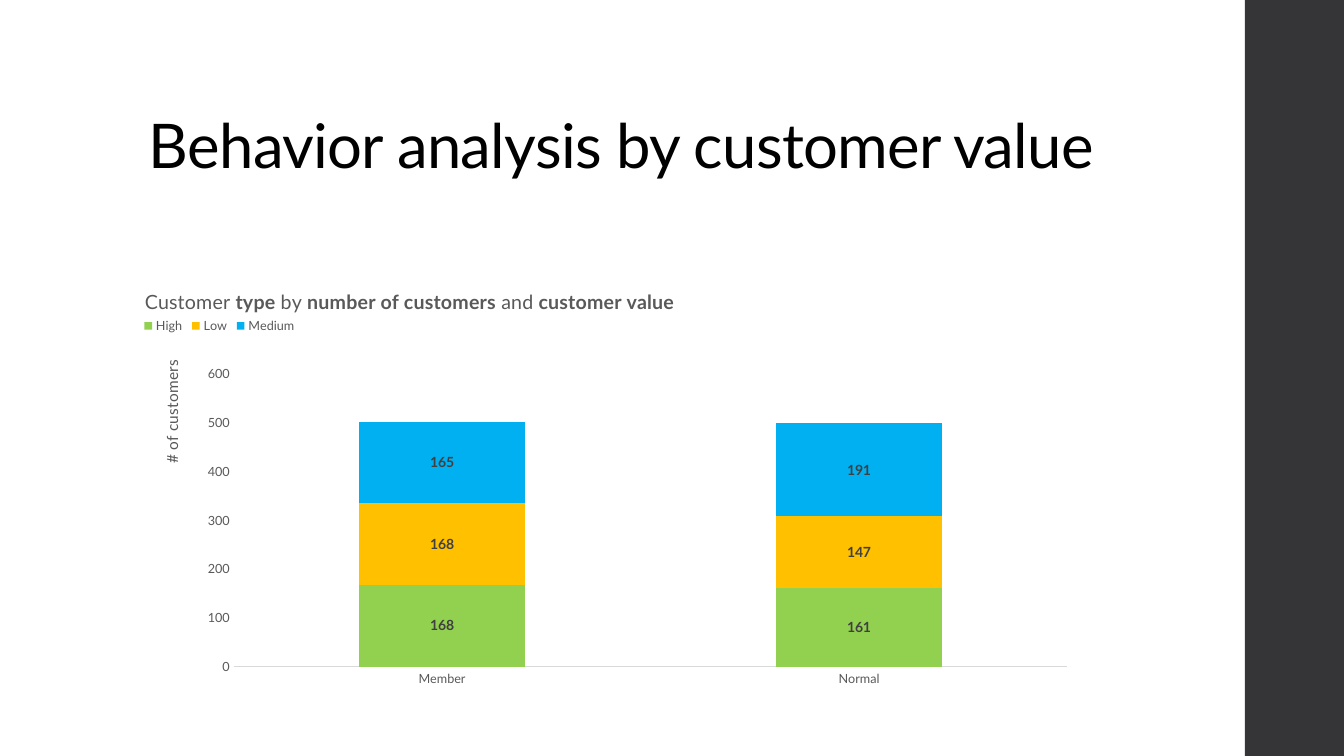
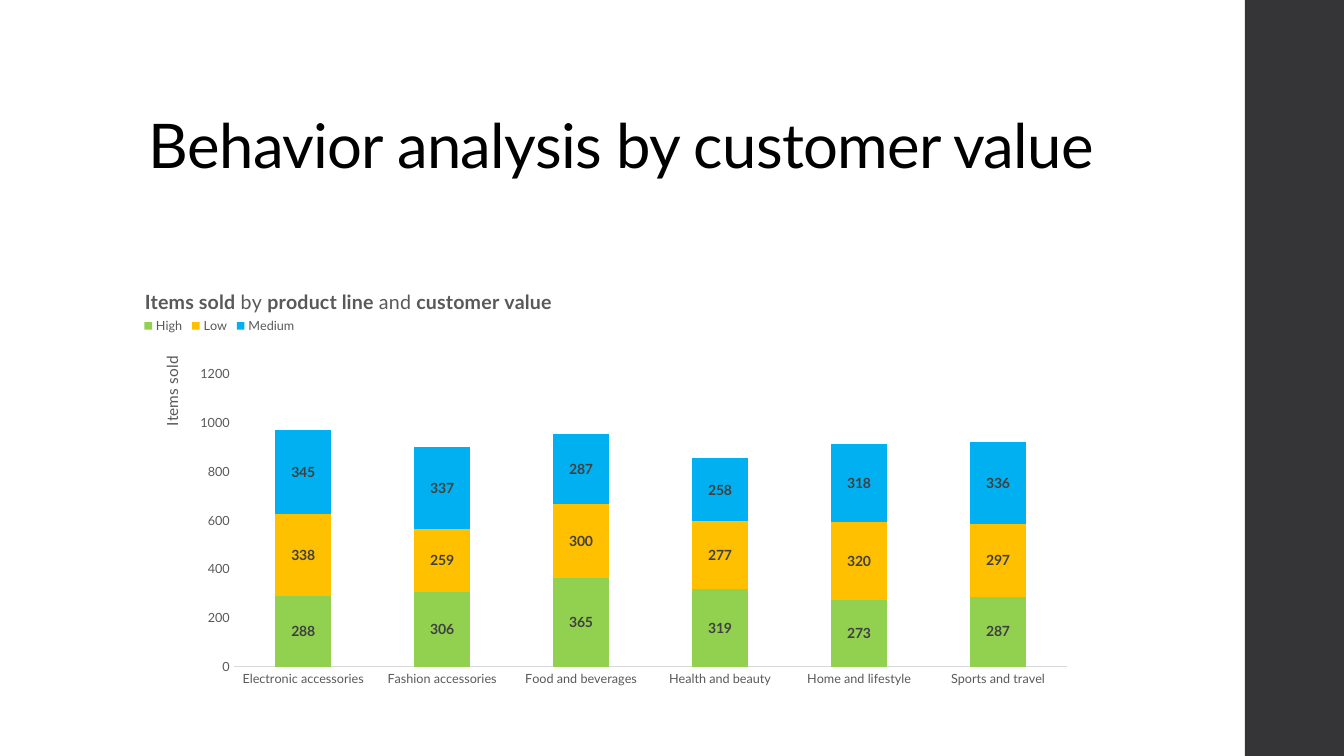
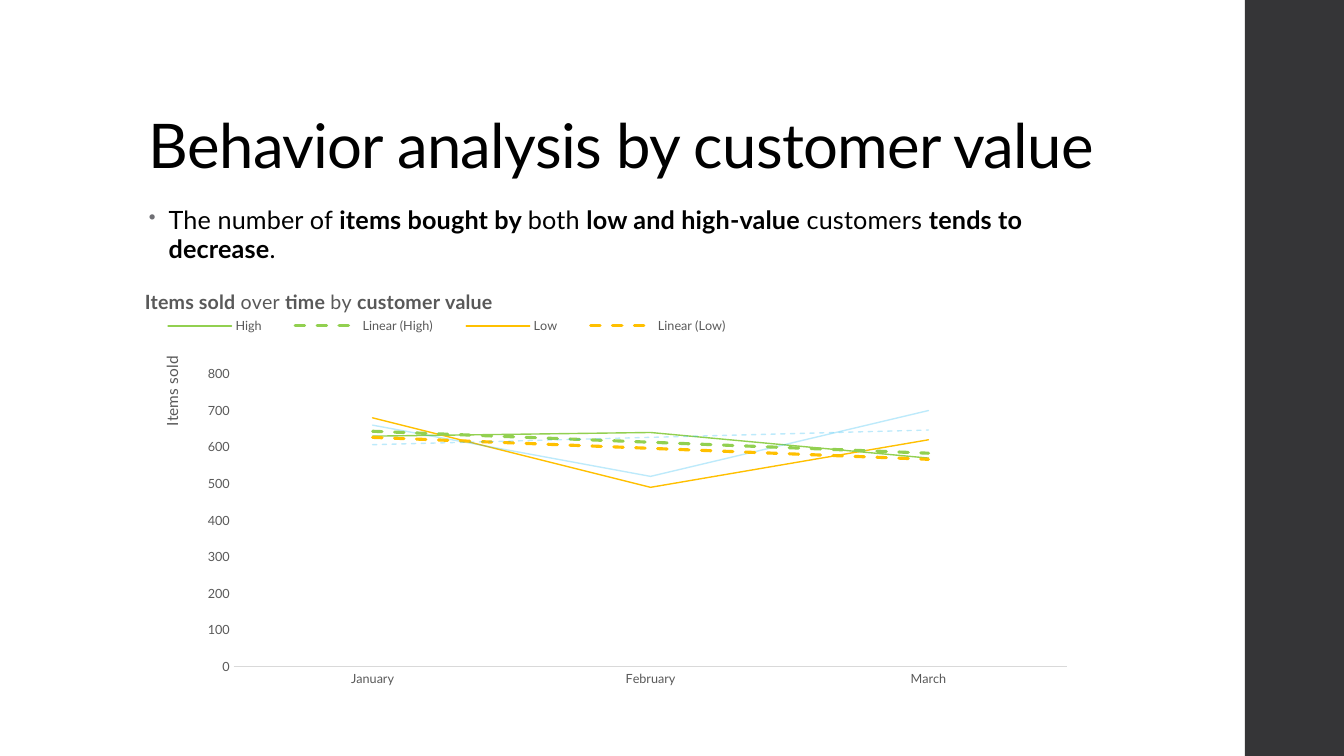
from copy import deepcopy

from lxml.etree import SubElement
from pptx import Presentation
from pptx.chart.data import CategoryChartData
from pptx.dml.color import RGBColor
from pptx.enum.chart import (
    XL_CHART_TYPE, XL_LABEL_POSITION, XL_LEGEND_POSITION, XL_MARKER_STYLE, XL_TICK_MARK)
from pptx.enum.shapes import MSO_SHAPE
from pptx.enum.text import MSO_ANCHOR, MSO_AUTO_SIZE, PP_ALIGN
from pptx.oxml import parse_xml
from pptx.oxml.ns import nsdecls, qn
from pptx.util import Cm, Pt

FONT = "Lato"
COLORS = {
    "text": "000000", "band": "353537", "bullet": "6F6F74", "muted": "595959",
    "label": "404040", "axis": "D9D9D9",
    "High": "92D050", "Low": "FFC000", "Medium": "00B0F0",
}
HEADING = "Behavior analysis by customer value"
LEFT = Cm(3.5)
CONTENT_WIDTH = Cm(23.88)

SLIDES = [
    {
        "title": [("Customer ", False), ("type", True), (" by ", False),
                  ("number of customers", True), (" and ", False), ("customer value", True)],
        "axis_title": "# of customers", "axis_title_at": (0.02, 0.19),
        "maximum": 600, "step": 100, "plot_left": 0.1,
        "categories": ["Member", "Normal"],
        "series": {"High": [168, 161], "Low": [168, 147], "Medium": [165, 191]},
    },
    {
        "title": [("Items sold", True), (" by ", False), ("product line", True),
                  (" and ", False), ("customer value", True)],
        "axis_title": "Items sold", "axis_title_at": (0.02, 0.18),
        "maximum": 1200, "step": 200, "plot_left": 0.1,
        "categories": ["Electronic accessories", "Fashion accessories", "Food and beverages",
                       "Health and beauty", "Home and lifestyle", "Sports and travel"],
        "series": {"High": [288, 306, 365, 319, 273, 287],
                   "Low": [338, 259, 300, 277, 320, 297],
                   "Medium": [345, 337, 287, 258, 318, 336]},
    },
    {
        "bullet": [("The number of ", False), ("items bought by ", True), ("both ", False),
                   ("low and high-value ", True), ("customers ", False),
                   ("tends to decrease", True), (".", False)],
        "title": [("Items sold", True), (" over ", False), ("time", True),
                  (" by ", False), ("customer value", True)],
        "axis_title": "Items sold", "axis_title_at": (0.02, 0.18),
        "maximum": 800, "step": 100, "plot_left": 0.1,
        "categories": ["January", "February", "March"],
        "series": {"High": [630, 640, 570], "Low": [680, 490, 620], "Medium": [660, 520, 700]},
        "trend": True,
    },
]


def style(font, size, color, bold=False):
    font.name = FONT
    font.size = Pt(size)
    font.bold = bold
    font.color.rgb = RGBColor.from_string(COLORS[color])


def write(para, parts, size, color, spacing=0):
    for text, bold in parts:
        span = para.add_run()
        span.text = text
        style(span.font, size, color, bold)
        if spacing:
            span.font._element.set("spc", str(spacing))


def place(parent, left, top, width=None, height=None, inner=False):
    for old in parent.findall(qn("c:layout")):
        parent.remove(old)
    values = [("layoutTarget", "inner")] if inner else []
    values += [("xMode", "edge"), ("yMode", "edge"), ("x", left), ("y", top)]
    if width:
        values += [("w", width), ("h", height)]
    layout = parse_xml(f"<c:layout {nsdecls('c')}><c:manualLayout/></c:layout>")
    for name, value in values:
        SubElement(layout[0], qn(f"c:{name}")).set("val", str(value))
    leading = {qn("c:tx"), qn("c:legendPos"), qn("c:legendEntry")}
    parent.insert(sum(child.tag in leading for child in parent), layout)


def add_frame(deck):
    page = deck.slides.add_slide(deck.slide_layouts[5])
    band = page.shapes.add_shape(MSO_SHAPE.RECTANGLE, Cm(31.37), 0, Cm(2.5), deck.slide_height)
    band.shadow.inherit = False
    band.fill.solid()
    band.fill.fore_color.rgb = RGBColor.from_string(COLORS["band"])
    band.line.fill.background()

    title = page.shapes.title
    title.left, title.top, title.width, title.height = LEFT, Cm(1.02), Cm(26.92), Cm(3.68)
    frame = title.text_frame
    frame.auto_size = MSO_AUTO_SIZE.NONE
    frame.vertical_anchor = MSO_ANCHOR.BOTTOM
    para = frame.paragraphs[0]
    para.alignment = PP_ALIGN.LEFT
    para.line_spacing = 0.9
    write(para, [(HEADING, False)], 44, "text", -50)
    return page


def add_bullet(page, parts):
    box = page.shapes.add_textbox(LEFT, Cm(5.08), CONTENT_WIDTH, Cm(1.9))
    box.text_frame.word_wrap = True
    para = box.text_frame.paragraphs[0]
    para.line_spacing = 0.95
    para.space_after = Pt(2)
    settings = para._p.get_or_add_pPr()
    settings.set("marL", str(Cm(0.5)))
    settings.set("indent", str(-Cm(0.5)))
    color = SubElement(settings, qn("a:buClr"))
    SubElement(color, qn("a:srgbClr")).set("val", COLORS["bullet"])
    SubElement(settings, qn("a:buSzPct")).set("val", "80000")
    SubElement(settings, qn("a:buChar")).set("char", "•")
    write(para, parts, 18, "text", 10)


def format_axes(chart, content):
    for axis in (chart.category_axis, chart.value_axis):
        axis.major_tick_mark = axis.minor_tick_mark = XL_TICK_MARK.NONE
        axis.has_major_gridlines = False
        style(axis.tick_labels.font, 9, "muted")
    line = chart.category_axis.format.line
    line.color.rgb = RGBColor.from_string(COLORS["axis"])
    line.width = Pt(0.75)

    axis = chart.value_axis
    axis.format.line.fill.background()
    axis.minimum_scale = 0
    axis.maximum_scale = content["maximum"]
    axis.major_unit = content["step"]
    title = axis.axis_title
    write(title.text_frame.paragraphs[0], [(content["axis_title"], False)], 11, "muted")
    body = title._element.find(".//" + qn("a:bodyPr"))
    body.set("rot", "-5400000")
    body.set("vert", "horz")
    place(title._element, *content["axis_title_at"])


def format_columns(plot):
    plot.gap_width = 150
    plot.overlap = 100
    for series in plot.series:
        series.format.fill.solid()
        series.format.fill.fore_color.rgb = RGBColor.from_string(COLORS[series.name])
    plot.has_data_labels = True
    labels = plot.data_labels
    labels.show_value = True
    labels.position = XL_LABEL_POSITION.CENTER
    style(labels.font, 10, "label", True)


def format_lines(plot):
    for series in plot.series:
        faded = series.name == "Medium"
        series.smooth = False
        series.marker.style = XL_MARKER_STYLE.NONE
        series.format.line.color.rgb = RGBColor.from_string(COLORS[series.name])
        series.format.line.width = Pt(1)
        element = series._element
        properties = element.find(qn("c:spPr"))
        properties.find(qn("a:ln")).set("cap", "rnd")
        if faded:
            color = properties.find(".//" + qn("a:srgbClr"))
            SubElement(color, qn("a:alpha")).set("val", "25000")

        trend = parse_xml(f"<c:trendline {nsdecls('c')}/>")
        trend.append(deepcopy(properties))
        line = trend.find(".//" + qn("a:ln"))
        line.set("w", str(Pt(1 if faded else 2.25)))
        SubElement(line, qn("a:prstDash")).set("val", "dash")
        for name, value in (("trendlineType", "linear"), ("dispRSqr", "0"), ("dispEq", "0")):
            SubElement(trend, qn(f"c:{name}")).set("val", value)
        element.find(qn("c:cat")).addprevious(trend)


def add_chart(page, content):
    has_trend = content.get("trend", False)
    data = CategoryChartData()
    data.categories = content["categories"]
    for name, values in content["series"].items():
        data.add_series(name, values)
    kind = XL_CHART_TYPE.LINE if has_trend else XL_CHART_TYPE.COLUMN_STACKED
    chart = page.shapes.add_chart(kind, LEFT, Cm(7), CONTENT_WIDTH, Cm(10.54), data).chart
    style(chart.font, 10, "text")

    chart.has_title = True
    title = chart.chart_title
    write(title.text_frame.paragraphs[0], content["title"], 14, "muted")
    title.include_in_layout = False
    place(title._element, 0.003, 0.015)

    format_axes(chart, content)
    plot = chart.plots[0]
    plot.vary_by_categories = False
    (format_lines if has_trend else format_columns)(plot)

    chart.has_legend = True
    legend = chart.legend
    legend.position = XL_LEGEND_POSITION.TOP
    legend.include_in_layout = False
    style(legend.font, 9, "muted")
    if has_trend:
        count = len(content["series"])
        for position, index in enumerate((count - 1, 2 * count - 1), start=1):
            entry = parse_xml(f"<c:legendEntry {nsdecls('c')}/>")
            SubElement(entry, qn("c:idx")).set("val", str(index))
            SubElement(entry, qn("c:delete")).set("val", "1")
            legend._element.insert(position, entry)
    place(legend._element, 0, 0.08, 0.65 if has_trend else 0.17, 0.07)
    left = content["plot_left"]
    place(chart._chartSpace.chart.plotArea, left, 0.23, round(0.98 - left, 2), 0.7, inner=True)


def main():
    deck = Presentation()
    deck.slide_width, deck.slide_height = Cm(33.87), Cm(19.05)
    for content in SLIDES:
        page = add_frame(deck)
        if "bullet" in content:
            add_bullet(page, content["bullet"])
        add_chart(page, content)
    deck.save("out.pptx")


if __name__ == "__main__":
    main()
